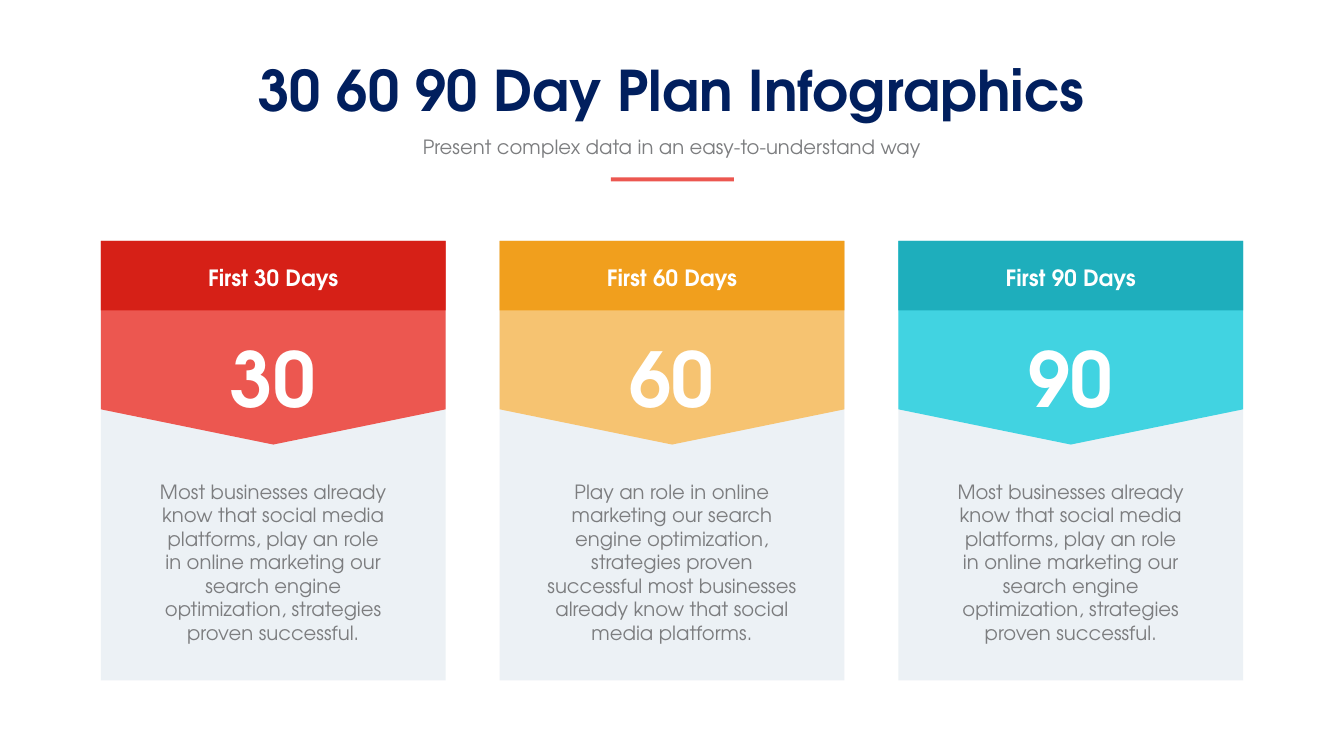
from dataclasses import dataclass

import lxml.etree
import pptx
import pptx.dml.color
import pptx.enum.shapes
import pptx.enum.text
import pptx.oxml.ns
import pptx.util

Inches = pptx.util.Inches
SHAPES = pptx.enum.shapes.MSO_SHAPE
FONT = "TeX Gyre Adventor"
COLORS = {
    "navy": "011F5E",
    "gray": "7C7D7F",
    "white": "FFFFFF",
    "panel": "E3EBF0",
    "red": "D62017",
    "coral": "EC5750",
    "orange": "F19F1D",
    "sand": "F6C371",
    "teal": "1EAEBC",
    "aqua": "41D3E1",
}
CARD_LEFT = 1.0
CARD_TOP = 2.39
CARD_WIDTH = 3.42
CARD_HEIGHT = 4.36
CARD_PITCH = 3.955
HEADER_HEIGHT = 0.69
ARROW_LENGTH = 2.02
ARROW_MIDDLE = 3.4


@dataclass(frozen=True)
class Card:
    days: str
    header_color: str
    arrow_color: str
    body_width: float
    body: str


@dataclass(frozen=True)
class Style:
    size: int
    color: str
    bold: bool = False


TITLE = Style(40, "navy", True)
PLAIN = Style(14, "gray")
NUMBER = Style(54, "white", True)
HEADING = Style(16, "white", True)

MEDIA_TEXT = (
    "Most businesses already know that social media platforms, play an role in "
    "online marketing our search engine optimization, strategies proven successful."
)
SEARCH_TEXT = (
    "Play an role in online marketing our search engine optimization, strategies "
    "proven successful most businesses already know that social media platforms."
)
CARDS = [
    Card("30", "red", "coral", 2.49, MEDIA_TEXT),
    Card("60", "orange", "sand", 2.67, SEARCH_TEXT),
    Card("90", "teal", "aqua", 2.49, MEDIA_TEXT),
]


def rgb(name: str) -> pptx.dml.color.RGBColor:
    return pptx.dml.color.RGBColor.from_string(COLORS[name])


def write(box, text: str, style: Style) -> None:
    frame = box.text_frame
    frame.word_wrap = True
    frame.auto_size = pptx.enum.text.MSO_AUTO_SIZE.SHAPE_TO_FIT_TEXT
    frame.vertical_anchor = pptx.enum.text.MSO_ANCHOR.TOP
    para = frame.paragraphs[0]
    para.alignment = pptx.enum.text.PP_ALIGN.CENTER
    span = para.add_run()
    span.text = text
    span.font.name = FONT
    span.font.size = pptx.util.Pt(style.size)
    span.font.bold = style.bold
    span.font.color.rgb = rgb(style.color)


def add_text(page, center: float, top: float, width: float, height: float,
             text: str, style: Style) -> None:
    box = page.shapes.add_textbox(
        Inches(center - width / 2), Inches(top), Inches(width), Inches(height)
    )
    write(box, text, style)


def add_block(page, kind, left: float, top: float, width: float, height: float, color: str):
    block = page.shapes.add_shape(
        kind, Inches(left), Inches(top), Inches(width), Inches(height)
    )
    block.shadow.inherit = False
    block.fill.solid()
    block.fill.fore_color.rgb = rgb(color)
    block.line.fill.background()
    return block


def set_opacity(block, percent: int) -> None:
    qn = pptx.oxml.ns.qn
    color = block.fill._xPr.find(qn("a:solidFill")).find(qn("a:srgbClr"))
    lxml.etree.SubElement(color, qn("a:alpha")).set("val", str(percent * 1000))


def add_card(page, card: Card, left: float) -> None:
    center = left + CARD_WIDTH / 2
    panel = add_block(page, SHAPES.RECTANGLE, left, CARD_TOP, CARD_WIDTH, CARD_HEIGHT, "panel")
    set_opacity(panel, 65)
    arrow = add_block(
        page, SHAPES.PENTAGON, center - ARROW_LENGTH / 2, ARROW_MIDDLE - CARD_WIDTH / 2,
        ARROW_LENGTH, CARD_WIDTH, card.arrow_color,
    )
    arrow.rotation = 90
    arrow.adjustments[0] = 0.173
    add_block(
        page, SHAPES.RECTANGLE, left, CARD_TOP, CARD_WIDTH, HEADER_HEIGHT, card.header_color
    )
    add_text(page, center, 3.24, 1.17, 1.01, card.days, NUMBER)
    add_text(page, center, 2.57, 2.93, 0.37, f"First {card.days} Days", HEADING)
    add_text(page, center, 4.71, card.body_width, 1.75, card.body, PLAIN)


def main() -> None:
    deck = pptx.Presentation()
    deck.slide_width = Inches(13.33)
    deck.slide_height = Inches(7.5)
    page = deck.slides.add_slide(deck.slide_layouts[5])

    title = page.shapes.title
    title.left, title.top = Inches(1.99), Inches(0.5)
    title.width, title.height = Inches(9.34), Inches(0.77)
    write(title, "30 60 90 Day Plan Infographics", TITLE)

    add_text(page, 6.665, 1.29, 7.47, 0.34,
             "Present complex data in an easy-to-understand way", PLAIN)
    add_block(page, SHAPES.RECTANGLE, 6.06, 1.76, 1.22, 0.04, "coral")

    for index, card in enumerate(CARDS):
        add_card(page, card, CARD_LEFT + index * CARD_PITCH)

    deck.save("out.pptx")


if __name__ == "__main__":
    main()
